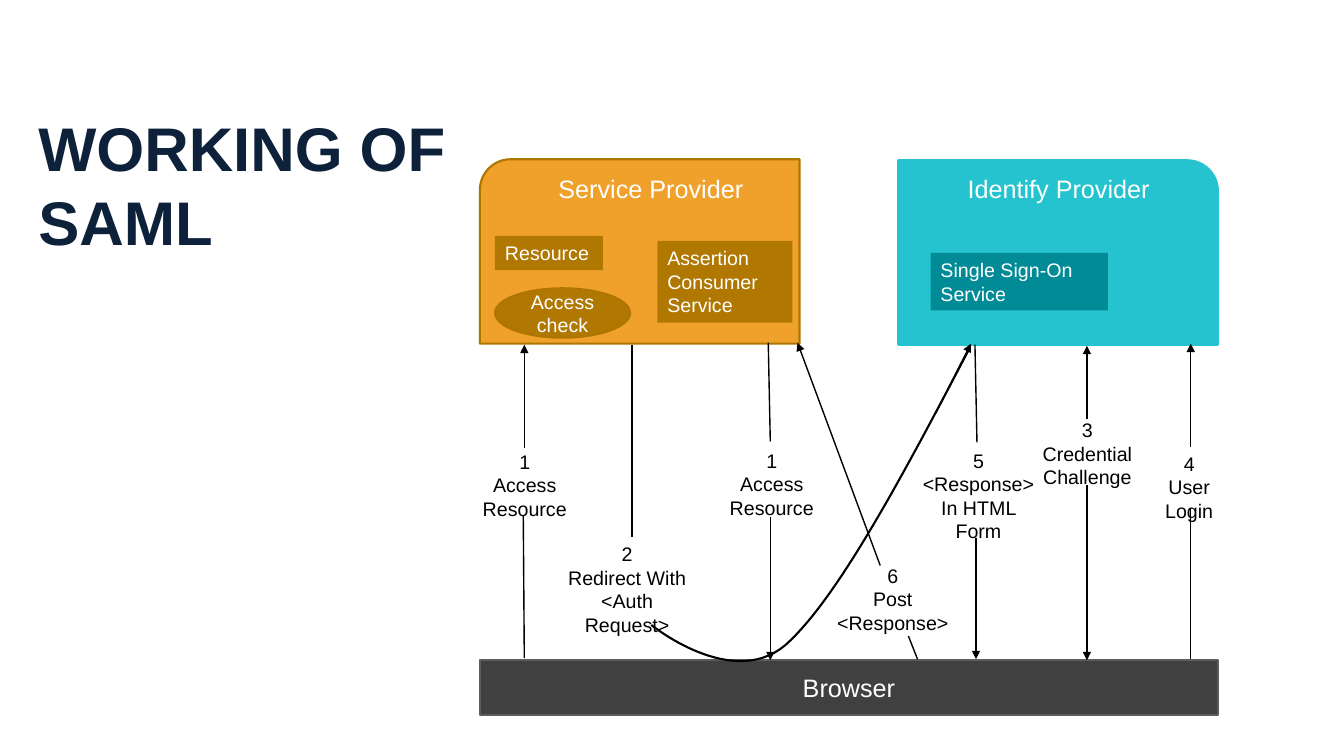
"""Build the slide that shows how SAML passes messages between provider, browser and identity service."""
from dataclasses import dataclass

from lxml.etree import SubElement
from pptx import Presentation
from pptx.dml.color import RGBColor
from pptx.enum.shapes import MSO_CONNECTOR, MSO_SHAPE as SHAPE
from pptx.enum.text import MSO_ANCHOR as ANCHOR, PP_ALIGN as ALIGN
from pptx.oxml.ns import qn
from pptx.util import Inches, Pt


@dataclass(frozen=True)
class Theme:
    font: str = "Arial"
    title: int = 44
    heading: int = 18
    body: int = 14
    navy: str = "0E213B"
    white: str = "FFFFFF"
    black: str = "000000"
    orange: str = "F0A12B"
    brown: str = "B07800"
    brown_edge: str = "AE7600"
    cyan: str = "25C3CF"
    teal: str = "008B96"
    charcoal: str = "404040"
    gray: str = "5C5C5C"


THEME = Theme()


def write(shape, text, size, color, align=ALIGN.CENTER, anchor=ANCHOR.TOP, bold=False):
    frame = shape.text_frame
    frame.word_wrap = True
    frame.vertical_anchor = anchor
    frame.text = text
    for paragraph in frame.paragraphs:
        paragraph.alignment = align
        for name, value in {"name": THEME.font, "size": Pt(size), "bold": bold}.items():
            setattr(paragraph.font, name, value)
        paragraph.font.color.rgb = RGBColor.from_string(color)


def draw_block(kind, box, fill, edge=None):
    block = slide.shapes.add_shape(kind, *map(Inches, box))
    block.shadow.inherit = False
    block.fill.solid()
    block.fill.fore_color.rgb = RGBColor.from_string(fill)
    if edge:
        block.line.color.rgb = RGBColor.from_string(edge)
        block.line.width = Pt(1.5)
    else:
        block.line.fill.background()
    return block


deck = Presentation()
deck.slide_width, deck.slide_height = Inches(13.33), Inches(7.5)
slide = deck.slides.add_slide(deck.slide_layouts[5])

title = slide.shapes.title
title.left, title.top, title.width, title.height = map(Inches, (0.28, 1.04, 4.62, 1.58))
write(title, "WORKING OF SAML", THEME.title, THEME.navy, ALIGN.LEFT, bold=True)

draw_block(SHAPE.ROUND_1_RECTANGLE, (8.91, 1.59, 3.17, 1.83), THEME.cyan, THEME.cyan)
service_provider = draw_block(
    SHAPE.ROUND_1_RECTANGLE, (4.76, 1.58, 3.17, 1.83), THEME.orange, THEME.brown_edge)
service_provider._element.spPr.find(qn("a:xfrm")).set("flipH", "1")

components = [
    (SHAPE.RECTANGLE, (9.23, 2.51, 1.76, 0.57), THEME.teal, None,
     "Single Sign-On Service", THEME.body, ALIGN.LEFT, ANCHOR.TOP),
    (SHAPE.RECTANGLE, (6.52, 2.39, 1.34, 0.81), THEME.brown, None,
     "Assertion\nConsumer\nService", THEME.body, ALIGN.LEFT, ANCHOR.TOP),
    (SHAPE.RECTANGLE, (4.91, 2.34, 1.07, 0.34), THEME.brown, None,
     "Resource", THEME.body, ALIGN.LEFT, ANCHOR.TOP),
    (SHAPE.OVAL, (4.91, 2.86, 1.34, 0.49), THEME.brown, THEME.brown_edge,
     "Access check", THEME.body, ALIGN.CENTER, ANCHOR.MIDDLE),
    (SHAPE.RECTANGLE, (4.76, 6.55, 7.32, 0.54), THEME.charcoal, THEME.gray,
     "Browser", THEME.heading, ALIGN.CENTER, ANCHOR.MIDDLE),
]
for kind, box, fill, edge, text, size, align, anchor in components:
    write(draw_block(kind, box, fill, edge), text, size, THEME.white, align, anchor)

labels = [
    ((9.43, 1.67, 2.14, 0.4), "Identify Provider", THEME.heading, THEME.white, ALIGN.CENTER),
    ((5.44, 1.67, 2.15, 0.4), "Service Provider", THEME.heading, THEME.white, ALIGN.LEFT),
]
steps = [
    (4.54, 4.41, 1.33, "1\nAccess\nResource"),
    (5.44, 5.33, 1.56, "2\nRedirect With <Auth Request>"),
    (6.99, 4.4, 1.33, "1\nAccess\nResource"),
    (9.04, 4.4, 1.33, "5\n<Response>\nIn HTML Form"),
    (11.13, 4.43, 1.33, "4\nUser\nLogin"),
    (10.12, 4.1, 1.33, "3\nCredential Challenge"),
    (8.19, 5.54, 1.33, "6\nPost\n<Response>"),
]
labels += [((left, top, width, 0.81), text, THEME.body, THEME.black, ALIGN.CENTER)
           for left, top, width, text in steps]
for box, text, size, color, align in labels:
    write(slide.shapes.add_textbox(*map(Inches, box)), text, size, color, align)

redirect_curves = [
    ((9.62, 3.45), (8.97, 4.69), (8.31, 5.94), (7.79, 6.4)),
    ((7.79, 6.4), (7.26, 6.85), (6.46, 6.2), (6.46, 6.2)),
]
redirect_points = []
for curve in redirect_curves:
    for step in range(31):
        t = step / 30
        weights = ((1 - t) ** 3, 3 * t * (1 - t) ** 2, 3 * t ** 2 * (1 - t), t ** 3)
        redirect_points.append(tuple(
            Inches(sum(weight * point[axis] for weight, point in zip(weights, curve)))
            for axis in (0, 1)))
outline = slide.shapes.build_freeform(*redirect_points[0])
outline.add_line_segments(redirect_points[1:], close=False)
redirect = outline.convert_to_shape()
redirect.shadow.inherit = False
redirect.fill.background()
redirect.line.color.rgb = RGBColor.from_string(THEME.black)
redirect.line.width = Pt(1.5)

plain_lines = [
    (11.81, 5.04, 11.81, 6.54),
    (9.1, 6.54, 9.01, 6.31),
    (5.19, 5.11, 5.2, 6.53),
    (7.62, 3.4, 7.64, 4.38),
    (6.27, 3.42, 6.27, 5.33),
    (9.67, 3.42, 9.69, 4.39),
]
arrows = [
    (5.2, 4.44, 5.2, 3.42),
    (7.64, 5.13, 7.64, 6.55),
    (11.81, 4.43, 11.81, 3.41),
    (10.78, 4.16, 10.78, 3.43),
    (8.73, 5.61, 7.91, 3.4),
    (9.68, 5.34, 9.68, 6.54),
    (10.78, 4.81, 10.78, 6.55),
    (9.28, 4.1, 9.63, 3.41),
]
for ends in plain_lines + arrows:
    flow = slide.shapes.add_connector(MSO_CONNECTOR.STRAIGHT, *map(Inches, ends))
    flow.line.color.rgb = RGBColor.from_string(THEME.black)
    flow.line.width = Pt(1)
    if ends in arrows:
        SubElement(flow.line._get_or_add_ln(), qn("a:tailEnd"), type="triangle")
    SubElement(flow._element.spPr, qn("a:effectLst"))

deck.save("out.pptx")
